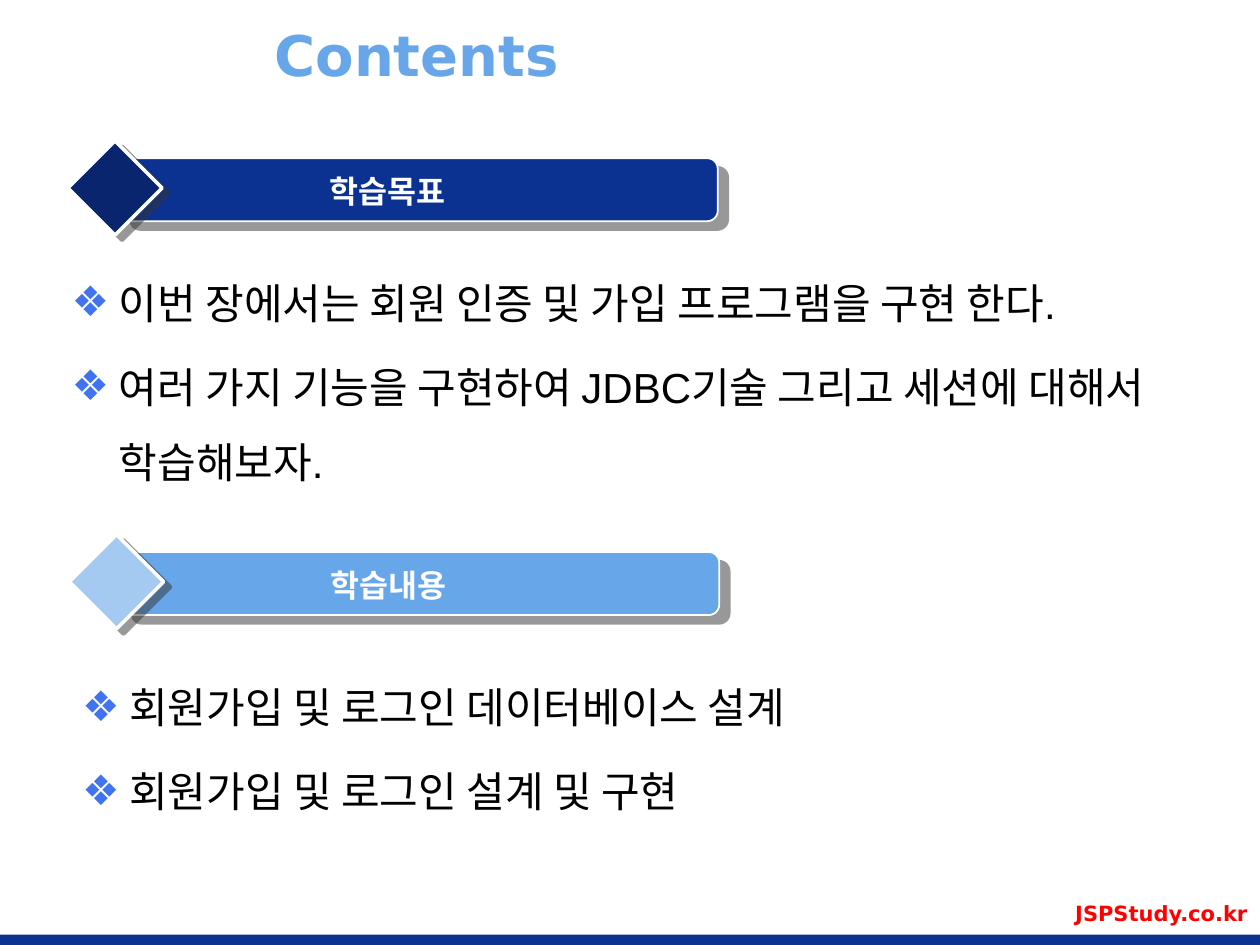
from dataclasses import dataclass

from lxml import etree
from pptx import Presentation
from pptx.dml.color import RGBColor
from pptx.enum import shapes, text
from pptx.oxml import parse_xml
from pptx.oxml.ns import nsdecls, qn
from pptx.util import Cm, Pt

NAVY = RGBColor(0x0B, 0x31, 0x91)
DARK_NAVY = RGBColor(0x08, 0x25, 0x6D)
SKY = RGBColor(0x68, 0xA6, 0xEA)
PALE_SKY = RGBColor(0xA4, 0xCA, 0xF2)
BULLET_BLUE = RGBColor(0x41, 0x73, 0xF1)
SHADOW_GREY = RGBColor(0x33, 0x33, 0x33)
RED = RGBColor(0xFF, 0x00, 0x00)
WHITE = RGBColor(0xFF, 0xFF, 0xFF)
BLACK = RGBColor(0x00, 0x00, 0x00)


@dataclass
class Heading:
    label: str
    left: float
    top: float
    bar_color: RGBColor
    diamond_color: RGBColor


@dataclass
class BulletList:
    placeholder: int
    box: tuple[float, float, float, float]
    font: str
    items: list[str]


HEADINGS = [
    Heading("학습목표", 1.37, 2.84, NAVY, DARK_NAVY),
    Heading("학습내용", 1.4, 10.78, SKY, PALE_SKY),
]
LISTS = [
    BulletList(1, (1.19, 4.95, 22.63, 4.95), "Arial", [
        "이번 장에서는 회원 인증 및 가입 프로그램을 구현 한다.",
        "여러 가지 기능을 구현하여 JDBC기술 그리고 세션에 대해서 학습해보자.",
    ]),
    BulletList(2, (1.4, 13.11, 20.45, 4.57), "DejaVu Sans", [
        "회원가입 및 로그인 데이터베이스 설계",
        "회원가입 및 로그인 설계 및 구현",
    ]),
]


def place(sp, left: float, top: float, width: float, height: float) -> None:
    """Move and size a shape, in centimetres."""
    for name, value in zip(("left", "top", "width", "height"), (left, top, width, height)):
        setattr(sp, name, Cm(value))


def write(p, content: str, size: int, font: str, color: RGBColor, bold: bool = False) -> None:
    r = p.add_run()
    r.text = content
    for name, value in {"size": Pt(size), "name": font, "bold": bold}.items():
        setattr(r.font, name, value)
    r.font.color.rgb = color


def add_text(parent, box: tuple, content: str, align, **style) -> None:
    sp = parent.add_textbox(*map(Cm, box))
    tf = sp.text_frame
    tf.word_wrap = True
    p = tf.paragraphs[0]
    p.alignment = align
    write(p, content, bold=True, **style)


def add_filled(parent, kind, box: tuple, fill: RGBColor, line_width: float = 0):
    sp = parent.add_shape(kind, *map(Cm, box))
    sp.shadow.inherit = False
    sp.fill.solid()
    sp.fill.fore_color.rgb = fill
    if line_width:
        sp.line.color.rgb = WHITE
        sp.line.width = Pt(line_width)
    else:
        sp.line.fill.background()
    return sp


def cast_shadow(sp, distance: float, angle: int) -> None:
    """Give a shape a hard, half-transparent shadow."""
    effects = sp._element.spPr.find(qn("a:effectLst"))
    effects.append(parse_xml(
        f'<a:outerShdw {nsdecls("a")} dist="{Pt(distance)}" dir="{angle * 60000}" '
        f'algn="ctr" rotWithShape="0"><a:srgbClr val="{SHADOW_GREY}">'
        '<a:alpha val="50000"/></a:srgbClr></a:outerShdw>'))


def add_heading(slide, h: Heading) -> None:
    group = slide.shapes.add_group_shape().shapes
    bar = add_filled(group, shapes.MSO_SHAPE.ROUNDED_RECTANGLE,
                     (h.left + 1.04, h.top + 0.35, 12.06, 1.27), h.bar_color, 1)
    cast_shadow(bar, 7.8, 40)
    diamond = add_filled(group, shapes.MSO_SHAPE.DIAMOND,
                         (h.left, h.top, 1.9, 1.9), h.diamond_color, 2)
    cast_shadow(diamond, 5, 37)
    add_text(group, (h.left + 1.68, h.top + 0.5, 9.52, 1.02), h.label,
             text.PP_ALIGN.CENTER, size=18, font="Arial", color=WHITE)


def set_bullet(p) -> None:
    pPr = p._p.get_or_add_pPr()
    pPr.set("marL", str(Cm(0.95)))
    pPr.set("indent", str(-Cm(0.95)))
    color = etree.SubElement(pPr, qn("a:buClr"))
    etree.SubElement(color, qn("a:srgbClr"), val=str(BULLET_BLUE))
    etree.SubElement(pPr, qn("a:buChar"), char="❖")


def fill_list(slide, bullets: BulletList) -> None:
    sp = slide.placeholders[bullets.placeholder]
    place(sp, *bullets.box)
    tf = sp.text_frame
    tf.auto_size = text.MSO_AUTO_SIZE.NONE
    for i, item in enumerate(bullets.items):
        p = tf.add_paragraph() if i else tf.paragraphs[0]
        p.line_spacing = 1.5
        p.space_before = Pt(4.8 if i else 0)
        set_bullet(p)
        write(p, item, 24, bullets.font, BLACK)


def main() -> None:
    prs = Presentation()
    prs.slide_width, prs.slide_height = Cm(25.4), Cm(19.05)
    slide = prs.slides.add_slide(prs.slide_layouts.get_by_name("Two Content"))

    add_filled(slide.shapes, shapes.MSO_SHAPE.RECTANGLE, (0, 18.84, 25.4, 0.21), NAVY)

    title = slide.shapes.title
    place(title, 5.28, 0.3, 18.21, 1.57)
    tf = title.text_frame
    tf.auto_size = text.MSO_AUTO_SIZE.NONE
    tf.vertical_anchor = text.MSO_ANCHOR.MIDDLE
    tf.paragraphs[0].alignment = text.PP_ALIGN.LEFT
    write(tf.paragraphs[0], "Contents", 32, "DejaVu Sans", SKY, bold=True)

    for heading in HEADINGS:
        add_heading(slide, heading)
    add_text(slide.shapes, (17.35, 18.03, 8.05, 0.89), "JSPStudy.co.kr",
             text.PP_ALIGN.RIGHT, size=12, font="DejaVu Sans", color=RED)
    for bullets in LISTS:
        fill_list(slide, bullets)

    prs.save("out.pptx")


if __name__ == "__main__":
    main()
